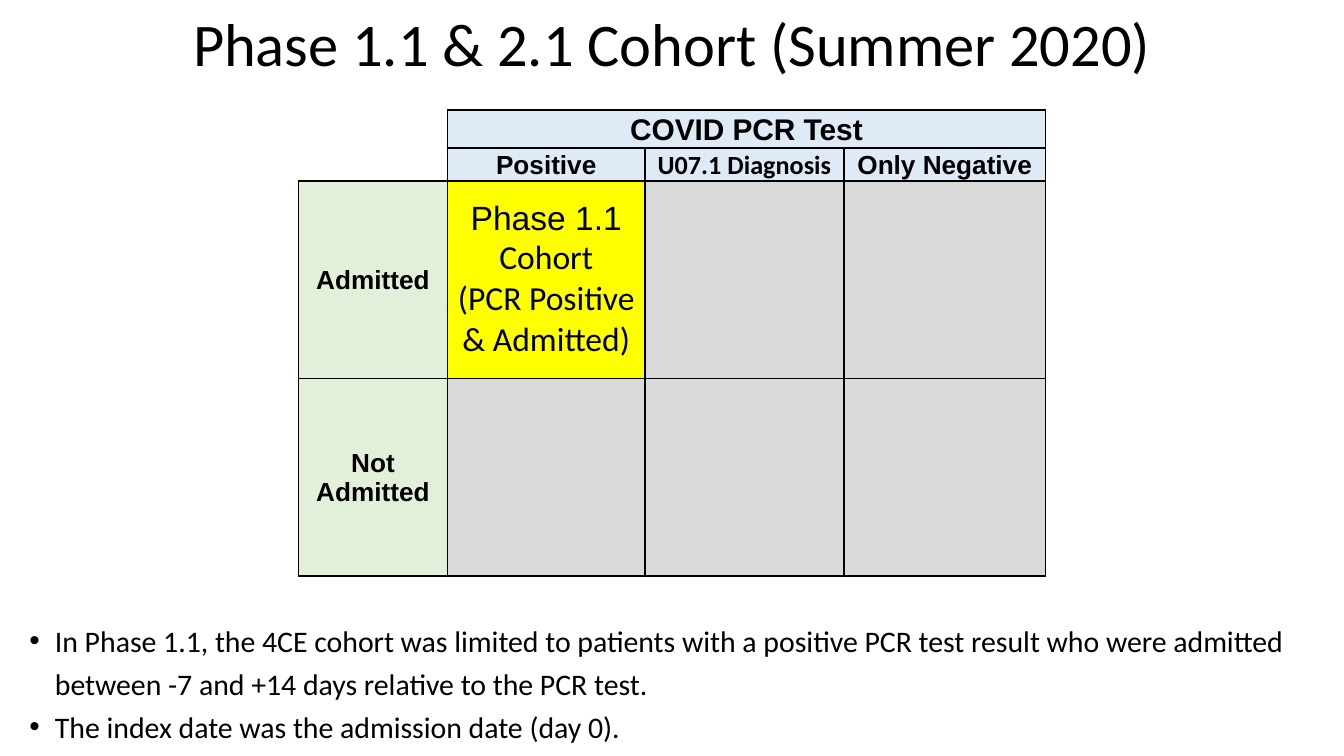
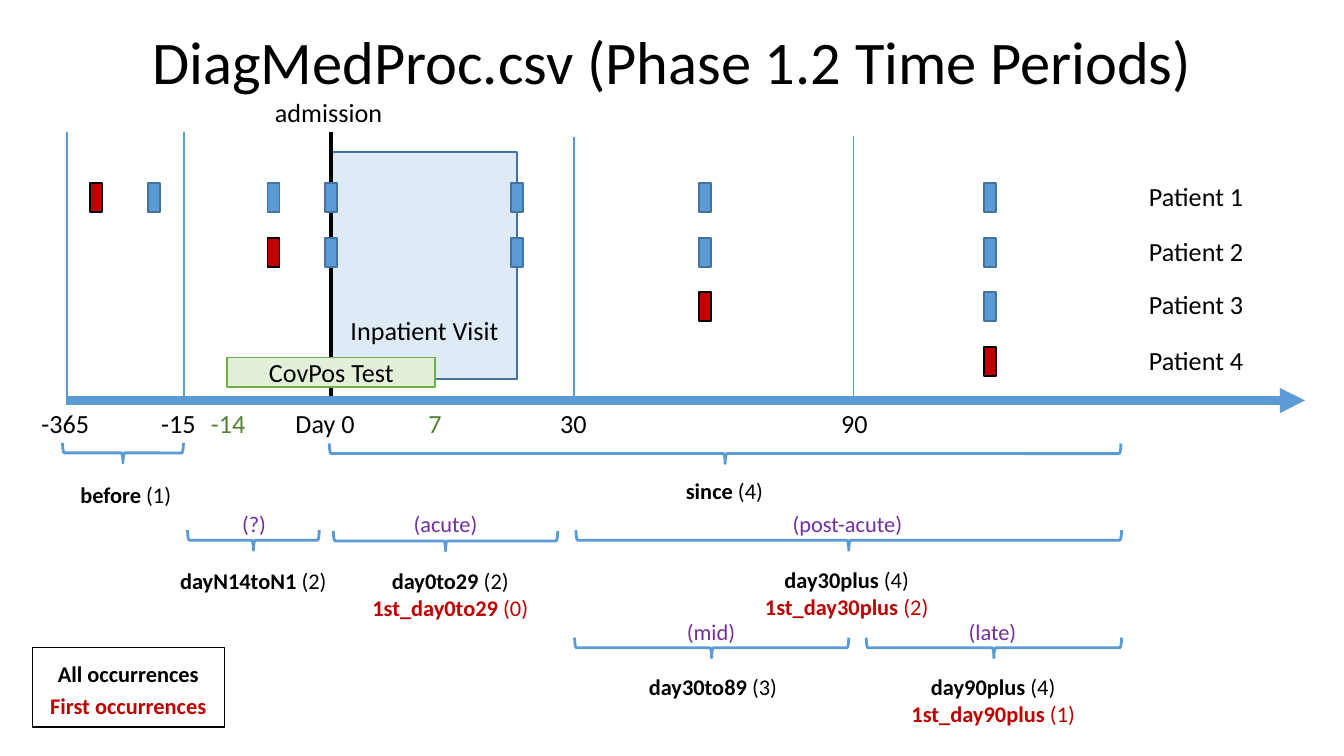
from lxml import etree
from pptx import Presentation
from pptx import util as u
from pptx.dml.color import RGBColor
from pptx.enum import shapes as sh, text as tx
from pptx.oxml import ns

PX = 9144  # one px is a hundredth of an inch
WIDE = 1000  # slide width in px, at 16:9
BLACK = RGBColor(0x00, 0x00, 0x00)
WHITE = RGBColor(0xFF, 0xFF, 0xFF)
BLUE = RGBColor(0x5B, 0x9B, 0xD5)
NAVY = RGBColor(0x43, 0x73, 0x9E)
PALE = RGBColor(0xDE, 0xEB, 0xF7)
MINT = RGBColor(0xE2, 0xF0, 0xD9)
GREEN = RGBColor(0x70, 0xAD, 0x47)
DARK = RGBColor(0x54, 0x82, 0x35)
RED = RGBColor(0xC0, 0x00, 0x00)
PURPLE = RGBColor(0x70, 0x30, 0xA0)
YELLOW = RGBColor(0xFF, 0xFF, 0x00)
GREY = RGBColor(0xD9, 0xD9, 0xD9)
LEFT, MID = tx.PP_ALIGN.LEFT, tx.PP_ALIGN.CENTER
TOP, CENTRE = tx.MSO_ANCHOR.TOP, tx.MSO_ANCHOR.MIDDLE
BOX = sh.MSO_SHAPE.RECTANGLE


def run(text, size=14, color=BLACK, bold=False, font="Calibri"):
    return text, size, color, bold, font


def head(text, size=14, font="Arial"):
    return [run(text, size, bold=True, font=font)]


# Content: cohort table; a cell is (lines, fill), a line is a list of runs
COHORT = "Phase 1.1 & 2.1 Cohort (Summer 2020)"
COLS = [111, 147, 148, 150]
ROWS = [28, 24, 147, 147]
NONE, REST = ([], WHITE), ([], GREY)
PHASE = [[run("Phase 1.1", 18, font="Arial")]] + [
    [run(line, 18)] for line in ("Cohort", "(PCR Positive", "& Admitted)")]
GRID = [
    [NONE, ([head("COVID PCR Test", 16)], PALE), ([], PALE), ([], PALE)],
    [NONE, ([head("Positive")], PALE),
     ([head("U07.1 Diagnosis", font="Calibri")], PALE),
     ([head("Only Negative")], PALE)],
    [([head("Admitted")], MINT), (PHASE, YELLOW), REST, REST],
    [([head("Not Admitted")], MINT), REST, REST, REST],
]
NOTES = [
    "In Phase 1.1, the 4CE cohort was limited to patients with a positive PCR "
    "test result who were admitted between -7 and +14 days relative to the PCR test.",
    "The index date was the admission date (day 0).",
]

# Content: time periods
PERIODS = "DiagMedProc.csv (Phase 1.2 Time Periods)"
AXIS = 298
BARS = [(50, 98), (137, 98), (427, 102), (635, 101)]  # x, top
TICKS = [  # label, centre, width, colour
    ("-365", 49, 56, BLACK), ("-15", 133, 46, BLACK), ("-14", 170, 46, DARK),
    ("Day 0", 242, 65, BLACK), ("7", 324, 30, DARK),
    ("30", 427, 40, BLACK), ("90", 636, 40, BLACK),
]
TIMES = [67, 110, 199, 242, 380, 520, 732]
FIRST = [0, 2, 5, 6]  # each patient's first event in TIMES
SPANS = [  # left, right, brace middle
    (47, 137, 337), (245, 834, 337), (140, 238, 402), (248, 415, 402),
    (429, 835, 402), (428, 632, 482), (645, 835, 482),
]
LABELS = [  # centre, top, width, all occurrences, first occurrences
    (93, 357, 89, ("before", 1), None),
    (539, 354, 78, ("since", 4), None),
    (188, 421, 131, ("dayN14toN1", 2), None),
    (335, 421, 138, ("day0to29", 2), ("1st_day0to29", 0)),
    (630, 420, 144, ("day30plus", 4), ("1st_day30plus", 2)),
    (530, 500, 117, ("day30to89", 3), None),
    (739, 500, 144, ("day90plus", 4), ("1st_day90plus", 1)),
]
TAGS = [  # text, centre, top, width
    ("(?)", 189, 375, 38), ("(acute)", 331, 375, 69),
    ("(post-acute)", 630, 375, 105), ("(mid)", 529, 455, 58),
    ("(late)", 738, 455, 57),
]


def write(frame, lines, align=LEFT, space=None, before=0):
    """Fill a text frame with lines of runs."""
    for i, line in enumerate(lines):
        par = frame.add_paragraph() if i else frame.paragraphs[0]
        par.alignment = align
        if space:
            par.line_spacing = space
        if i and before:
            par.space_before = u.Pt(before)
        for text, size, color, bold, font in line:
            part = par.add_run()
            part.text = text
            part.font.size, part.font.bold = u.Pt(size), bold
            part.font.name, part.font.color.rgb = font, color


def scale(*nums):
    return [n * PX for n in nums]


def label(slide, at, lines, align=LEFT, wrap=False, **style):
    box = slide.shapes.add_textbox(*scale(*at))
    box.text_frame.word_wrap = wrap
    box.text_frame.auto_size = tx.MSO_AUTO_SIZE.SHAPE_TO_FIT_TEXT
    write(box.text_frame, lines, align, **style)
    return box


def title(slide, text, top, high, space, anchor):
    frame = slide.shapes.add_textbox(*scale(34, top, 932, high)).text_frame
    frame.word_wrap, frame.vertical_anchor = True, anchor
    frame.margin_top = frame.margin_bottom = 10 * PX
    write(frame, [[run(text, 32.4)]], MID, space)


def shape(slide, kind, at, fill=None, line=None, wide=1):
    form = slide.shapes.add_shape(kind, *scale(*at))
    form.shadow.inherit = False
    if fill is None:
        form.fill.background()
    else:
        form.fill.solid()
        form.fill.fore_color.rgb = fill
    if line is None:
        form.line.fill.background()
    else:
        form.line.color.rgb, form.line.width = line, u.Pt(wide)
    return form


def rule(slide, x1, y1, x2, y2, color=BLUE, wide=1, arrow=False):
    line = slide.shapes.add_connector(
        sh.MSO_CONNECTOR.STRAIGHT, *scale(x1, y1, x2, y2))
    line.line.color.rgb, line.line.width = color, u.Pt(wide)
    if arrow:
        etree.SubElement(line.line._get_or_add_ln(), ns.qn("a:tailEnd"), type="triangle")
    etree.SubElement(line._element.spPr, ns.qn("a:effectLst"))


def brace(slide, left, right, mid):
    """A right brace turned to point down, spanning left to right."""
    long, thick = right - left, 15
    at = ((left + right - thick) // 2, mid - long // 2, thick, long)
    shape(slide, sh.MSO_SHAPE.RIGHT_BRACE, at, line=BLUE, wide=1.5).rotation = 90


def edge(cell, side, color):
    line = etree.SubElement(cell._tc.get_or_add_tcPr(), ns.qn("a:ln" + side), w="12700")
    fill = etree.SubElement(line, ns.qn("a:solidFill"))
    etree.SubElement(fill, ns.qn("a:srgbClr"), val=str(color))


def table(slide):
    frame = slide.shapes.add_table(
        len(ROWS), len(COLS), *scale(222, 82, sum(COLS), sum(ROWS)))
    grid = frame.table
    grid.first_row = grid.horz_banding = False
    for col, wide in zip(grid.columns, COLS):
        col.width = wide * PX
    for row, high in zip(grid.rows, ROWS):
        row.height = high * PX
    for r, line in enumerate(GRID):
        for c, (lines, fill) in enumerate(line):
            cell = grid.cell(r, c)
            cell.margin_left = cell.margin_right = cell.margin_top = PX
            cell.margin_bottom = 0
            cell.vertical_anchor = CENTRE
            # The corner cells show only the edges they share with the grid
            open_sides = {0: "LTB", 1: "LT"}.get(r, "") if c == 0 else ""
            for side in "LRTB":
                edge(cell, side, WHITE if side in open_sides else BLACK)
            cell.fill.solid()
            cell.fill.fore_color.rgb = fill
            write(cell.text_frame, lines, MID)
            if not lines:
                cell.text_frame.paragraphs[0]._p.get_or_add_endParaRPr().set("sz", "1000")
    grid.cell(0, 1).merge(grid.cell(0, 3))


def cohort(slide):
    table(slide)
    title(slide, COHORT, 5, 66, 0.8, TOP)
    notes = label(slide, (12, 453, 978, 107), [[run(n, 16)] for n in NOTES],
                  wrap=True, space=1.2)
    for par in notes.text_frame.paragraphs:
        props = par._p.get_or_add_pPr()
        props.set("marL", str(19 * PX))
        props.set("indent", str(-19 * PX))
        tint = etree.SubElement(props, ns.qn("a:buClr"))
        etree.SubElement(tint, ns.qn("a:srgbClr"), val=str(BLACK))
        etree.SubElement(props, ns.qn("a:buFont"), typeface="Arial")
        etree.SubElement(props, ns.qn("a:buChar"), char="•")


def periods(slide):
    # Visit, title and vertical day lines
    shape(slide, BOX, (246, 113, 139, 169), PALE, NAVY)
    title(slide, PERIODS, 16, 64, 0.9, CENTRE)
    label(slide, (185, 67, 119, 34), [[run("admission")]], MID, True)
    rule(slide, 246, 98, 246, AXIS, BLACK, 2.25)
    for x, top in BARS:
        rule(slide, x, top, x, AXIS)
    for text, mid, wide, color in TICKS:
        label(slide, (mid - wide // 2, AXIS, wide, 34), [[run(text, color=color)]])

    # Events: one row a patient, the first event in red
    for i, start in enumerate(FIRST):
        drop = (i * 122 + 1) // 3
        for n, x in enumerate(TIMES[start:]):
            fill, line = (BLUE, NAVY) if n else (RED, BLACK)
            shape(slide, BOX, (x, 136 + drop, 9, 22), fill, line)
        label(slide, (845, 129 + drop, 92, 34), [[run(f"Patient {i + 1}")]])

    # Visit and test captions
    for text, at, fill, line, anchor in (
            ("Inpatient Visit", (248, 229, 136, 34), PALE, None, TOP),
            ("CovPos Test", (169, 266, 155, 22), MINT, GREEN, CENTRE)):
        frame = shape(slide, BOX, at, fill, line).text_frame
        frame.vertical_anchor = anchor
        write(frame, [[run(text)]], MID)
    rule(slide, 49, AXIS, 971, AXIS, wide=4.5, arrow=True)

    # Braces with their counts and tags
    for span in SPANS:
        brace(slide, *span)
    for mid, top, wide, *names in LABELS:
        lines = [[run(name[0], 12, color, True), run(f" ({name[1]})", 12, color)]
                 for name, color in zip(names, (BLACK, RED)) if name]
        high = 47 if len(lines) > 1 else 26
        label(slide, (mid - wide // 2, top, wide, high), lines, MID, space=0.8, before=3)
    for text, mid, top, wide in TAGS:
        label(slide, (mid - wide // 2, top, wide, 30), [[run(text, 12, PURPLE)]], MID)

    # Key
    key = shape(slide, BOX, (24, 482, 143, 59), line=BLACK, wide=0.75).text_frame
    key.vertical_anchor = TOP
    write(key, [[run("All occurrences", 12, BLACK, True)],
                [run("First occurrences", 12, RED, True)]], MID, 1.2)


def main():
    deck = Presentation()
    deck.slide_width = WIDE * PX
    deck.slide_height = WIDE * PX * 9 // 16
    for draw in (cohort, periods):
        draw(deck.slides.add_slide(deck.slide_layouts[6]))
    deck.save("out.pptx")


if __name__ == "__main__":
    main()
